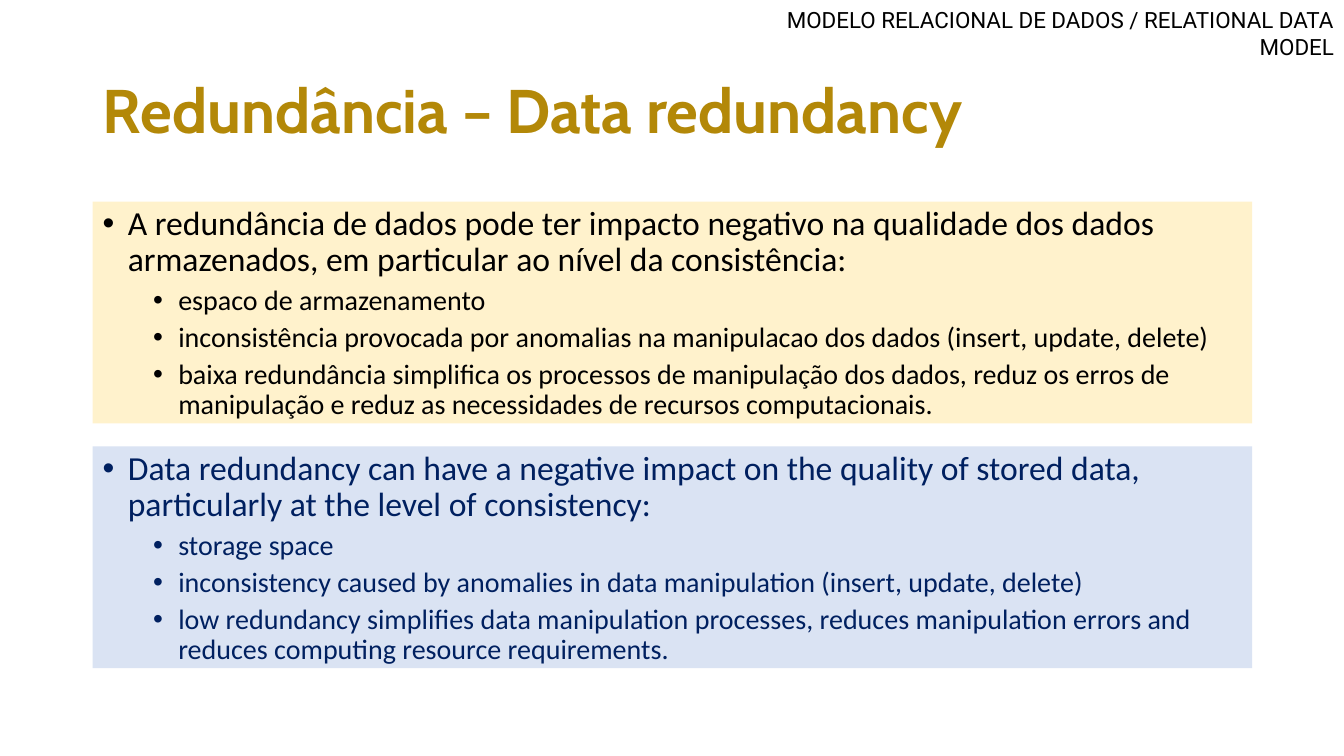
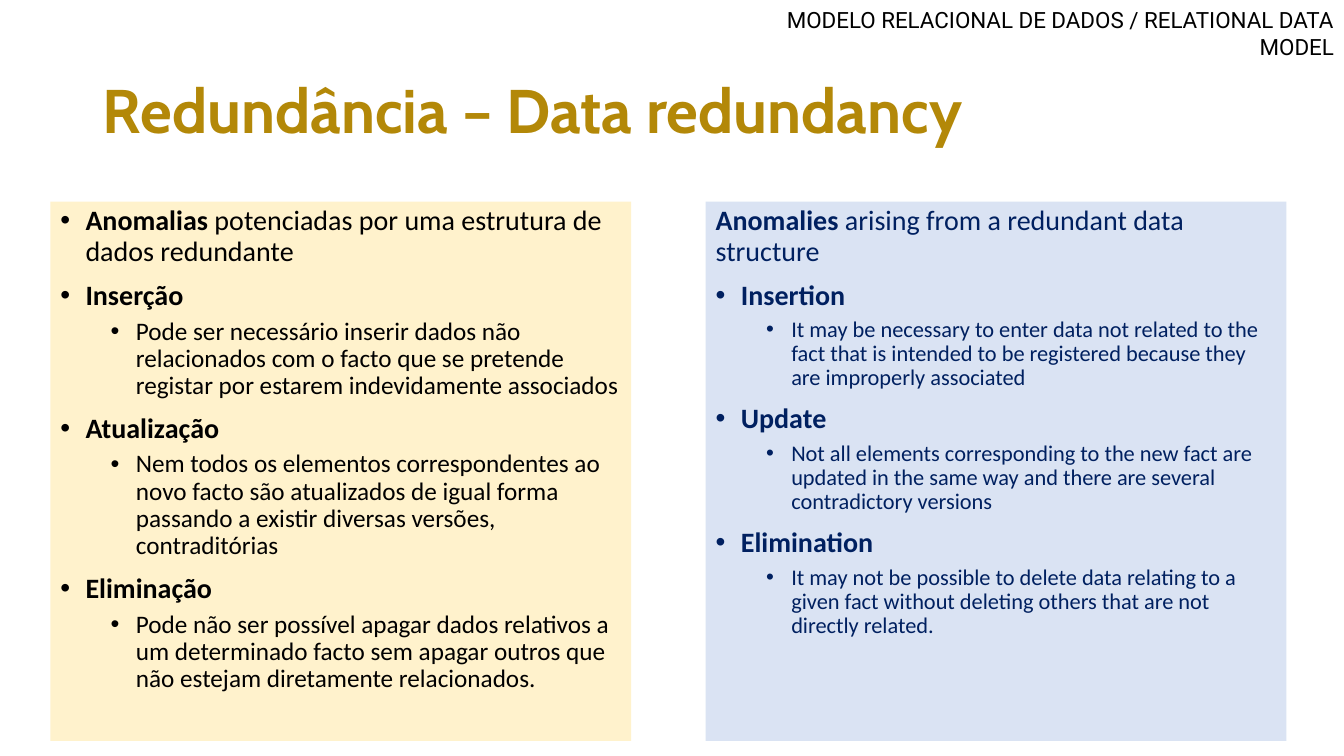
from dataclasses import dataclass

from lxml import etree
from pptx import Presentation
from pptx.dml.color import RGBColor
from pptx.enum.text import MSO_ANCHOR, MSO_AUTO_SIZE, PP_ALIGN
from pptx.oxml.ns import qn
from pptx.util import Inches, Pt

LEFT, RIGHT = PP_ALIGN.LEFT, PP_ALIGN.RIGHT
TOP, MIDDLE = MSO_ANCHOR.TOP, MSO_ANCHOR.MIDDLE
NO_FIT = MSO_AUTO_SIZE.NONE
TITLE_ONLY = 5

# Shared look
GOLD, BLACK, NAVY = "B38808", "000000", "002060"
CREAM, PALE_BLUE = "FFF2CC", "DAE3F3"
TITLE = "Redundância – Data redundancy"
HEADER = "MODELO RELACIONAL DE DADOS / RELATIONAL DATA MODEL"
TITLE_FORMAT = {"name": "Cabin", "size": Pt(44), "bold": True}
HEADER_FORMAT = {"name": "Roboto", "size": Pt(16), "bold": False}
BODY_FONT = "Calibri"
LINE_SPACING = 0.9
BULLET_HANG = 0.25
LEVEL_INDENT = 0.5
SPACE_BEFORE = (10, 5)  # points, by level


@dataclass
class Point:
    text: str = ""
    lead: str = ""  # bold opening words
    level: int = 0
    bullet: bool = True


@dataclass
class Panel:
    left: float
    top: float
    width: float
    height: float
    fill: str
    color: str
    sizes: tuple[int, int]  # points, by level
    points: list[Point]


def rgb(color: str) -> RGBColor:
    return RGBColor.from_string(color)


def add_span(para, text: str, color: str, formats: dict) -> None:
    span = para.add_run()
    span.text = text
    for name, value in formats.items():
        setattr(span.font, name, value)
    span.font.color.rgb = rgb(color)


def add_bullet(para, level: int) -> None:
    props = para._p.get_or_add_pPr()
    props.set("marL", str(Inches(BULLET_HANG + LEVEL_INDENT * level)))
    props.set("indent", str(-Inches(BULLET_HANG)))
    etree.SubElement(props, qn("a:buFont")).set("typeface", "Arial")
    etree.SubElement(props, qn("a:buChar")).set("char", "•")


def set_frame(frame, anchor) -> None:
    settings = {"word_wrap": True, "auto_size": NO_FIT, "vertical_anchor": anchor}
    for name, value in settings.items():
        setattr(frame, name, value)


def add_page(deck):
    page = deck.slides.add_slide(deck.slide_layouts[TITLE_ONLY])

    # Title
    title = page.shapes.title
    title.left, title.top = Inches(0.92), Inches(0.4)
    title.width, title.height = Inches(11.5), Inches(1.45)
    set_frame(title.text_frame, MIDDLE)
    para = title.text_frame.paragraphs[0]
    para.alignment, para.line_spacing = LEFT, LINE_SPACING
    add_span(para, TITLE, GOLD, TITLE_FORMAT)

    # Running header
    box = page.shapes.add_textbox(Inches(7.66), Inches(0.01), Inches(5.67), Inches(0.37))
    set_frame(box.text_frame, TOP)
    para = box.text_frame.paragraphs[0]
    para.alignment = RIGHT
    add_span(para, HEADER, BLACK, HEADER_FORMAT)
    return page


def add_panel(page, panel: Panel) -> None:
    box = page.shapes.add_textbox(
        Inches(panel.left), Inches(panel.top), Inches(panel.width), Inches(panel.height)
    )
    box.fill.solid()
    box.fill.fore_color.rgb = rgb(panel.fill)
    frame = box.text_frame
    set_frame(frame, TOP)
    for index, point in enumerate(panel.points):
        para = frame.add_paragraph() if index else frame.paragraphs[0]
        para.level = point.level
        if point.bullet:
            add_bullet(para, point.level)
        para.line_spacing = LINE_SPACING
        para.space_before = Pt(SPACE_BEFORE[point.level] if index else 0)
        for text, bold in ((point.lead, True), (point.text, False)):
            if text:
                formats = {"name": BODY_FONT, "size": Pt(panel.sizes[point.level]), "bold": bold}
                add_span(para, text, panel.color, formats)


# Slide 1: stacked panels
IMPACT_PT = [
    Point("A redundância de dados pode ter impacto negativo na qualidade dos dados "
          "armazenados, em particular ao nível da consistência:"),
    Point("espaco de armazenamento", level=1),
    Point("inconsistência provocada por anomalias na manipulacao dos dados "
          "(insert, update, delete)", level=1),
    Point("baixa redundância simplifica os processos de manipulação dos dados, reduz os "
          "erros de manipulação e reduz as necessidades de recursos computacionais.", level=1),
]
IMPACT_EN = [
    Point("Data redundancy can have a negative impact on the quality of stored data, "
          "particularly at the level of consistency:"),
    Point("storage space", level=1),
    Point("inconsistency caused by anomalies in data manipulation "
          "(insert, update, delete)", level=1),
    Point("low redundancy simplifies data manipulation processes, reduces manipulation "
          "errors and reduces computing resource requirements.", level=1),
]

# Slide 2: side-by-side panels
ANOMALIES_PT = [
    Point(" potenciadas por uma estrutura de dados redundante", lead="Anomalias"),
    Point(lead="Inserção"),
    Point("Pode ser necessário inserir dados não relacionados com o facto que se pretende "
          "registar por estarem indevidamente associados", level=1),
    Point(lead="Atualização"),
    Point("Nem todos os elementos correspondentes ao novo facto são atualizados de igual "
          "forma passando a existir diversas versões, contraditórias", level=1),
    Point(lead="Eliminação"),
    Point("Pode não ser possível apagar dados relativos a um determinado facto sem apagar "
          "outros que não estejam diretamente relacionados.", level=1),
]
ANOMALIES_EN = [
    Point(" arising from a redundant data structure", lead="Anomalies", bullet=False),
    Point(lead="Insertion"),
    Point("It may be necessary to enter data not related to the fact that is intended to be "
          "registered because they are improperly associated", level=1),
    Point(lead="Update"),
    Point("Not all elements corresponding to the new fact are updated in the same way and "
          "there are several contradictory versions", level=1),
    Point(lead="Elimination"),
    Point("It may not be possible to delete data relating to a given fact without deleting "
          "others that are not directly related.", level=1),
]

PAGES = [
    [
        Panel(0.92, 2, 11.5, 2.2, CREAM, BLACK, (24, 20), IMPACT_PT),
        Panel(0.92, 4.43, 11.5, 2.2, PALE_BLUE, NAVY, (24, 20), IMPACT_EN),
    ],
    [
        Panel(0.5, 2, 5.76, 5.35, CREAM, BLACK, (20, 18), ANOMALIES_PT),
        Panel(7, 2, 5.76, 5.35, PALE_BLUE, NAVY, (20, 16), ANOMALIES_EN),
    ],
]


def main() -> None:
    deck = Presentation()
    deck.slide_width, deck.slide_height = Inches(13.33), Inches(7.5)
    for panels in PAGES:
        page = add_page(deck)
        for panel in panels:
            add_panel(page, panel)
    deck.save("out.pptx")


if __name__ == "__main__":
    main()
